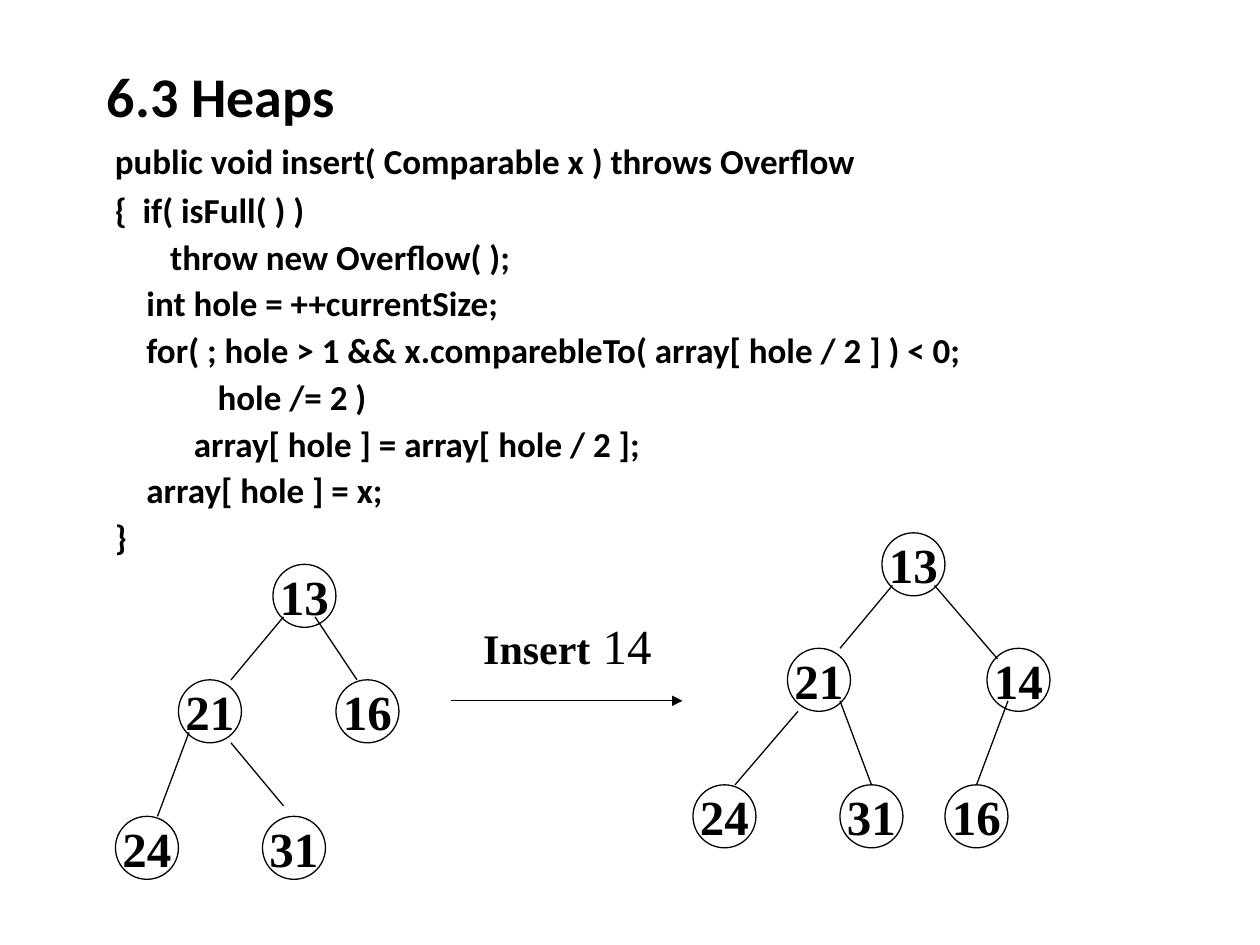
from lxml import etree
from pptx import Presentation
from pptx import util as u
from pptx.dml.color import RGBColor
from pptx.enum import shapes, text
from pptx.oxml.ns import qn

COLORS = {"ink": "000000"}
CODE_FONT, TREE_FONT = "Calibri", "Times New Roman"
NODE_SIZE = 36
LEVELS = (0, 66, 144)
SPACE_WIDTH = 4.52

CODE = [
    (1, "public void insert( Comparable x ) throws Overflow"),
    (1, "{  if( isFull( ) )"),
    (8, "throw new Overflow( );"),
    (5, "int hole = ++currentSize;"),
    (5, "for( ; hole > 1 && x.comparebleTo( array[ hole / 2 ] ) < 0;"),
    (14, "hole /= 2 )"),
    (11, "array[ hole ] = array[ hole / 2 ];"),
    (5, "array[ hole ] = x;"),
    (1, "}"),
]

HEAP_BEFORE = {
    "top": 322.5,
    "nodes": [("13", 156, 0), ("21", 102, 1), ("16", 192, 1),
              ("24", 66, 2), ("31", 150, 2)],
    "edges": [(162, 30, 132, 66), (180, 30, 204, 66),
              (108, 96, 90, 144), (132, 102, 162, 138)],
}
HEAP_AFTER = {
    "top": 304.5,
    "nodes": [("13", 504, 0), ("21", 450, 1), ("14", 564, 1),
              ("24", 396, 2), ("31", 480, 2), ("16", 540, 2)],
    "edges": [(510, 30, 480, 66), (534, 30, 570, 72), (456, 102, 420, 144),
              (480, 96, 498, 144), (576, 96, 558, 144)],
}


def color(name):
    return RGBColor.from_string(COLORS[name])


def style(font, name, size, bold=True):
    font.name, font.size, font.bold = name, u.Pt(size), bold
    font.color.rgb = color("ink")


def indent(p, points):
    p._p.get_or_add_pPr().set("marL", str(int(u.Pt(points))))


def add_text(s, x, y, w, h):
    tf = s.shapes.add_textbox(u.Pt(x), u.Pt(y), u.Pt(w), u.Pt(h)).text_frame
    tf.word_wrap = True
    return tf


def add_title(s, title):
    tf = add_text(s, 54, 30, 612, 54)
    tf.vertical_anchor = text.MSO_ANCHOR.MIDDLE
    p = tf.paragraphs[0]
    p.text = title
    p.line_spacing = 0.9
    style(p.font, CODE_FONT, 32)


def add_code(s, lines):
    tf = add_text(s, 54, 78, 643.5, 265.5)
    tf.margin_top = u.Pt(6.4)
    for i, (spaces, line) in enumerate(lines):
        p = tf.add_paragraph() if i else tf.paragraphs[0]
        p.text = line
        p.line_spacing = 0.8
        p.space_before = u.Pt(7.5)
        indent(p, spaces * SPACE_WIDTH)
        style(p.font, CODE_FONT, 20)
    tf.paragraphs[0].space_after = u.Pt(1.1)


def add_node(s, label, x, y):
    sp = s.shapes.add_shape(shapes.MSO_SHAPE.OVAL, u.Pt(x), u.Pt(y),
                            u.Pt(NODE_SIZE), u.Pt(NODE_SIZE))
    sp.shadow.inherit = False
    sp.fill.background()
    sp.line.color.rgb = color("ink")
    sp.line.width = u.Pt(0.74)
    tf = sp.text_frame
    tf.word_wrap = False
    tf.vertical_anchor = text.MSO_ANCHOR.MIDDLE
    p = tf.paragraphs[0]
    p.text = label
    p.alignment = text.PP_ALIGN.CENTER
    p.space_before = u.Pt(7)
    style(p.font, TREE_FONT, 28)


def add_line(s, x1, y1, x2, y2, arrow=False):
    ln = s.shapes.add_connector(shapes.MSO_CONNECTOR.STRAIGHT,
                                u.Pt(x1), u.Pt(y1), u.Pt(x2), u.Pt(y2))
    ln.line.color.rgb = color("ink")
    ln.line.width = u.Pt(0.74)
    if arrow:
        etree.SubElement(ln.line._get_or_add_ln(), qn("a:tailEnd"), type="triangle")
    etree.SubElement(ln._element.spPr, qn("a:effectLst"))


def add_heap(s, heap):
    top = heap["top"]
    for label, x, level in heap["nodes"]:
        add_node(s, label, x, top + LEVELS[level])
    for x1, y1, x2, y2 in heap["edges"]:
        add_line(s, x1, top + y1, x2, top + y2)


def add_step(s):
    add_line(s, 258, 400.5, 390, 400.5, arrow=True)
    tf = add_text(s, 234, 346.5, 156, 41)
    tf.margin_top = u.Pt(5)
    p = tf.paragraphs[0]
    indent(p, 35)
    for words, size, bold in (("Insert", 24, True), (" 14", 28, False)):
        r = p.add_run()
        r.text = words
        style(r.font, TREE_FONT, size, bold)


def main():
    prs = Presentation()
    prs.slide_width, prs.slide_height = u.Pt(720), u.Pt(540)
    s = prs.slides.add_slide(prs.slide_layouts[6])
    add_title(s, "6.3 Heaps")
    add_code(s, CODE)
    add_heap(s, HEAP_BEFORE)
    add_heap(s, HEAP_AFTER)
    add_step(s)
    prs.save("out.pptx")


main()
